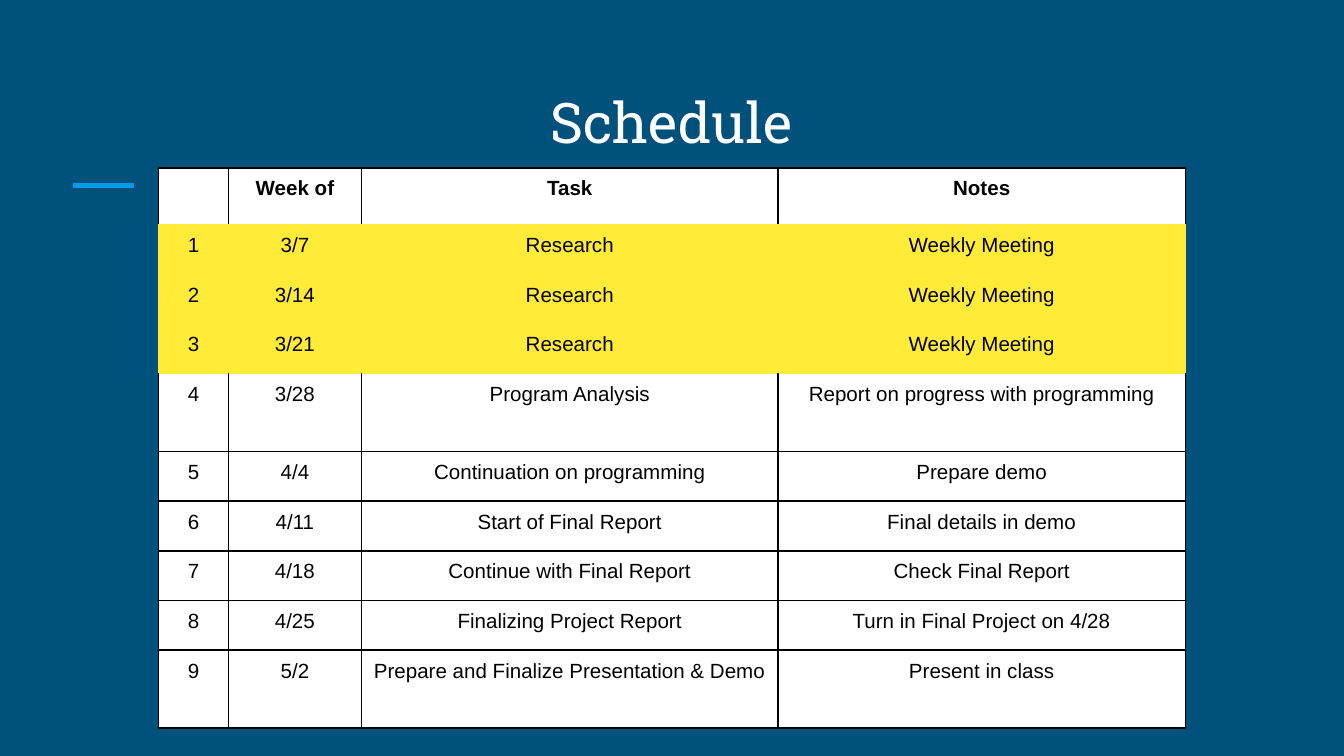
from dataclasses import dataclass

from lxml import etree
from pptx import Presentation
from pptx.dml.color import RGBColor
from pptx.enum.shapes import MSO_CONNECTOR
from pptx.enum.text import MSO_ANCHOR, PP_ALIGN
from pptx.oxml.ns import qn
from pptx.util import Inches, Pt

STRAIGHT = MSO_CONNECTOR.STRAIGHT
BOTTOM = MSO_ANCHOR.BOTTOM
CENTER = PP_ALIGN.CENTER


@dataclass(frozen=True)
class Theme:
    background: str = "00517C"
    accent: str = "039BE5"
    title_color: str = "FFFFFF"
    cell: str = "FFFFFF"
    done: str = "FFEB38"
    ink: str = "000000"
    title_font: str = "Roboto Slab"
    body_font: str = "Arial"
    title_size: int = 30
    body_size: int = 11
    accent_width: int = 3
    border_width: int = 1


HEADER = ("", "Week of", "Task", "Notes")
WEEKS = [
    ("3/7", "Research", "Weekly Meeting"),
    ("3/14", "Research", "Weekly Meeting"),
    ("3/21", "Research", "Weekly Meeting"),
    ("3/28", "Program Analysis", "Report on progress with programming"),
    ("4/4", "Continuation on programming", "Prepare demo"),
    ("4/11", "Start of Final Report", "Final details in demo"),
    ("4/18", "Continue with Final Report", "Check Final Report"),
    ("4/25", "Finalizing Project Report", "Turn in Final Project on 4/28"),
    ("5/2", "Prepare and Finalize Presentation & Demo", "Present in class"),
]
DONE_ROWS = {1, 2, 3}
COLUMN_WIDTHS = (0.52, 0.99, 3.1, 3.03)
HEADER_HEIGHT, ROW_HEIGHT, TALL_HEIGHT = 0.42, 0.37, 0.58
TALL_ROWS = {4, 9}


class SlideBuilder:
    def __init__(self, slide, theme):
        self.slide = slide
        self.theme = theme
        fill = slide.background.fill
        fill.solid()
        fill.fore_color.rgb = RGBColor.from_string(theme.background)

    def span(self, para, text, font, size, color, bold=False):
        para.alignment = CENTER
        span = para.add_run()
        span.text = text
        span.font.name = font
        span.font.size = Pt(size)
        span.font.bold = bold
        span.font.color.rgb = RGBColor.from_string(color)

    def title(self, text, left, top, width, height):
        box = self.slide.shapes.add_textbox(
            Inches(left), Inches(top), Inches(width), Inches(height))
        frame = box.text_frame
        frame.word_wrap = True
        frame.vertical_anchor = BOTTOM
        frame.margin_left = frame.margin_right = Inches(0.1)
        frame.margin_top = frame.margin_bottom = Inches(0.1)
        theme = self.theme
        self.span(frame.paragraphs[0], text, theme.title_font,
                  theme.title_size, theme.title_color)

    def rule(self, left, right, y):
        line = self.slide.shapes.add_connector(
            STRAIGHT, Inches(left), Inches(y), Inches(right), Inches(y))
        line.line.color.rgb = RGBColor.from_string(self.theme.accent)
        line.line.width = Pt(self.theme.accent_width)
        etree.SubElement(line._element.spPr, qn("a:effectLst"))

    def border(self, cell, side, color):
        line = etree.SubElement(cell._tc.get_or_add_tcPr(), qn(f"a:ln{side}"),
                                w=str(Pt(self.theme.border_width)))
        fill = etree.SubElement(line, qn("a:solidFill"))
        etree.SubElement(fill, qn("a:srgbClr"), val=color)

    def cell(self, cell, text, fill, borders, bold):
        """Borders come before the fill, as the file format requires."""
        theme = self.theme
        cell.margin_left = cell.margin_right = Inches(0.07)
        cell.margin_top = cell.margin_bottom = Inches(0.07)
        for side, color in borders.items():
            self.border(cell, side, color)
        cell.fill.solid()
        cell.fill.fore_color.rgb = RGBColor.from_string(fill)
        para = cell.text_frame.paragraphs[0]
        if text:
            self.span(para, text, theme.body_font, theme.body_size,
                      theme.ink, bold)
        else:
            etree.SubElement(para._p, qn("a:endParaRPr"),
                             sz=str(theme.body_size * 100))

    def table(self, rows, left, top, widths, heights, done_rows):
        """Any edge that touches a done row takes the done colour."""
        theme = self.theme
        table = self.slide.shapes.add_table(
            len(rows), len(widths), Inches(left), Inches(top),
            Inches(sum(widths)), Inches(sum(heights))).table
        table.horz_banding = False
        for column, width in zip(table.columns, widths):
            column.width = Inches(width)
        for row, height in zip(table.rows, heights):
            row.height = Inches(height)

        def edge(*touching):
            return theme.done if done_rows & set(touching) else theme.ink

        for r, texts in enumerate(rows):
            borders = {"L": edge(r), "R": edge(r),
                       "T": edge(r, r - 1), "B": edge(r, r + 1)}
            fill = theme.done if r in done_rows else theme.cell
            for c, text in enumerate(texts):
                self.cell(table.cell(r, c), text, fill, borders, bold=r == 0)


def main():
    deck = Presentation()
    deck.slide_width = Inches(10)
    deck.slide_height = deck.slide_width * 9 // 16
    page = SlideBuilder(deck.slides.add_slide(deck.slide_layouts[6]), Theme())
    page.rule(0.54, 1, 1.38)
    page.title("Schedule", 0.42, 0.5, 9.15, 0.75)
    rows = [HEADER] + [(str(n), *week) for n, week in enumerate(WEEKS, 1)]
    heights = [HEADER_HEIGHT] + [
        TALL_HEIGHT if r in TALL_ROWS else ROW_HEIGHT
        for r in range(1, len(rows))]
    page.table(rows, 1.18, 1.25, COLUMN_WIDTHS, heights, DONE_ROWS)
    deck.save("out.pptx")


if __name__ == "__main__":
    main()
